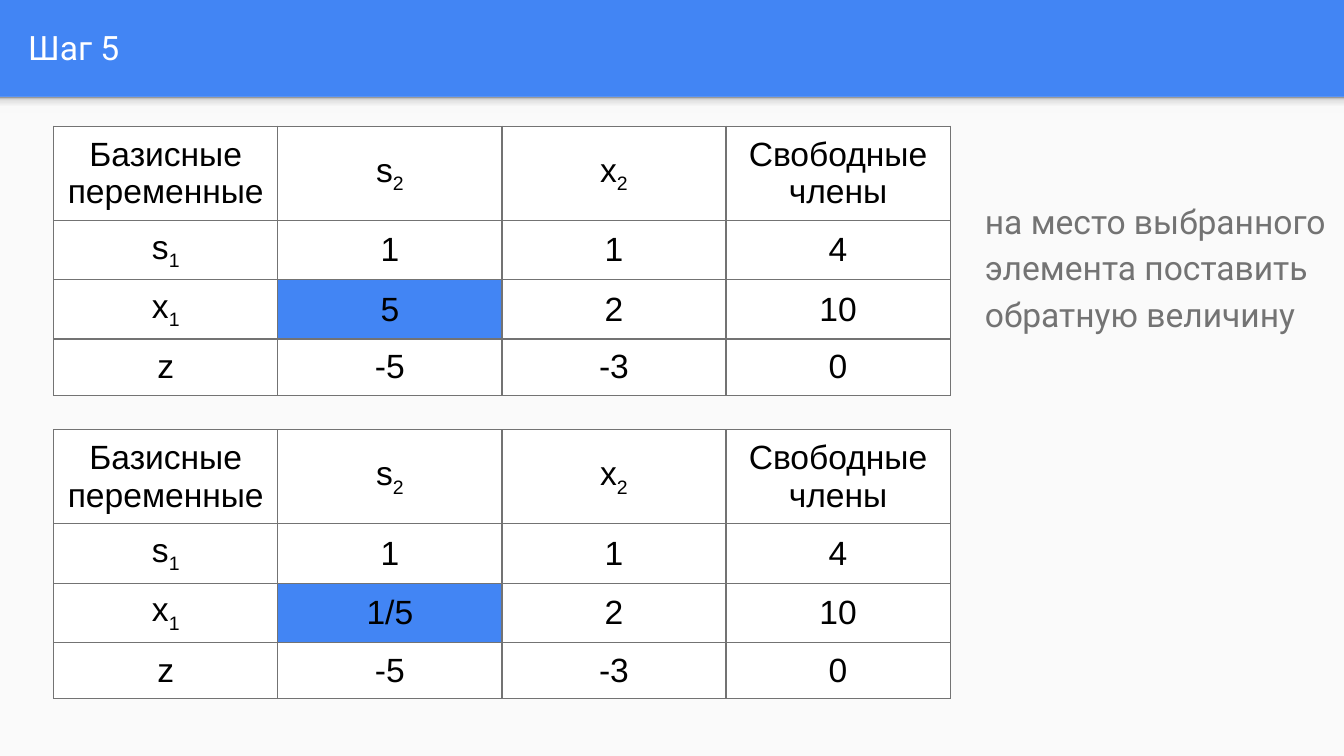
"""Build the "Шаг 5" slide: two simplex tables and the rule that links them."""
import copy

import lxml.etree
import pptx
import pptx.dml.color
import pptx.enum.shapes
import pptx.enum.text
import pptx.oxml.ns
import pptx.util

THEME = {
    "accent": "4285F4", "panel": "FAFAFA", "cell": "FFFFFF", "border": "737373",
    "title": {"name": "Roboto", "size": pptx.util.Pt(18), "color": "FFFFFF"},
    "note": {"name": "Roboto", "size": pptx.util.Pt(18), "color": "737373"},
    "table": {"name": "Arial", "size": pptx.util.Pt(18), "color": "000000"},
    "shadow": [(0, "F9F9F9"), (0.36, "F9F9F9"), (0.8, "DEDEDE"), (1, "999999")],
}
rgb = pptx.dml.color.RGBColor.from_string
qn = pptx.oxml.ns.qn

presentation = pptx.Presentation()
presentation.slide_width = pptx.util.Inches(10)
presentation.slide_height = pptx.util.Inches(5.625)
COLUMN = presentation.slide_width / 100
ROW = presentation.slide_height / 100


def area(left, top, width, height):
    """Turn grid columns and rows into lengths."""
    return [round(value) for value in (left * COLUMN, top * ROW, width * COLUMN, height * ROW)]


def write(paragraph, text, style):
    """Add a formatted run, with the part after "_" as a subscript."""
    for index, part in enumerate(text.split("_")):
        run = paragraph.add_run()
        run.text = part
        for name in ("name", "size"):
            setattr(run.font, name, style[name])
        run.font.color.rgb = rgb(style["color"])
        if index:
            run.font._element.set("baseline", "-25000")


slide = presentation.slides.add_slide(presentation.slide_layouts[5])
slide.background.fill.solid()
slide.background.fill.fore_color.rgb = rgb(THEME["accent"])

BAND = 12.8
rectangle = pptx.enum.shapes.MSO_SHAPE.RECTANGLE
panel = slide.shapes.add_shape(rectangle, *area(0, BAND, 100, 100 - BAND))
panel.fill.solid()
panel.fill.fore_color.rgb = rgb(THEME["panel"])
shadow = slide.shapes.add_shape(rectangle, *area(0, BAND, 100, 2.1))
shadow.fill.gradient()
shadow.fill.gradient_angle = 90
stop_list = next(shadow._element.iter(qn("a:gsLst")))
for stop in list(stop_list):
    stop_list.append(copy.deepcopy(stop))
for stop, (position, color) in zip(shadow.fill.gradient_stops, THEME["shadow"]):
    stop.position = position
    stop.color.rgb = rgb(color)
for shape in (panel, shadow):
    shape.line.fill.background()
    shape.shadow.inherit = False

title = slide.shapes.title
note = slide.shapes.add_textbox(*area(72.3, 24, 27.7, 21.3))
title.left, title.top, title.width, title.height = area(1.1, 0.4, 96.5, 11.7)
anchor = pptx.enum.text.MSO_ANCHOR
for shape, text, style, vertical in (
    (title, "Шаг 5", "title", anchor.MIDDLE),
    (note, "на место выбранного элемента поставить обратную величину", "note", anchor.TOP),
):
    frame = shape.text_frame
    frame_format = {"word_wrap": True, "vertical_anchor": vertical,
                    "auto_size": pptx.enum.text.MSO_AUTO_SIZE.NONE}
    for side in ("left", "top", "right", "bottom"):
        frame_format[f"margin_{side}"] = pptx.util.Inches(0.1)
    for name, value in frame_format.items():
        setattr(frame, name, value)
    frame.paragraphs[0].alignment = pptx.enum.text.PP_ALIGN.LEFT
    write(frame.paragraphs[0], text, THEME[style])
note.text_frame.auto_size = pptx.enum.text.MSO_AUTO_SIZE.SHAPE_TO_FIT_TEXT
note_format = {"line_spacing": 1.15, "space_after": pptx.util.Pt(12)}
for name, value in note_format.items():
    setattr(note.text_frame.paragraphs[0], name, value)

PIVOT = (2, 1)
ROW_HEIGHTS = [11.75, 7.45, 7.45, 7.45]
cell_format = {
    "vertical_anchor": anchor.MIDDLE,
    "margin_left": pptx.util.Inches(0.1), "margin_right": pptx.util.Inches(0.1),
    "margin_top": pptx.util.Inches(0.05), "margin_bottom": pptx.util.Inches(0.05),
}
for top, pivot_text in ((56.85, "1/5"), (16.7, "5")):
    values = [
        ["Базисные переменные", "s_2", "x_2", "Свободные члены"],
        ["s_1", "1", "1", "4"],
        ["x_1", pivot_text, "2", "10"],
        ["z", "-5", "-3", "0"],
    ]
    table = slide.shapes.add_table(4, 4, *area(4, top, 66.7, sum(ROW_HEIGHTS))).table
    table.first_row = table.horz_banding = False
    for row, height in zip(table.rows, ROW_HEIGHTS):
        row.height = round(height * ROW)
    for row_index, row_values in enumerate(values):
        for column_index, text in enumerate(row_values):
            cell = table.cell(row_index, column_index)
            for name, value in cell_format.items():
                setattr(cell, name, value)
            properties = cell._tc.get_or_add_tcPr()
            for edge in ("a:lnL", "a:lnR", "a:lnT", "a:lnB"):
                line = lxml.etree.SubElement(properties, qn(edge), w=str(pptx.util.Pt(0.75)))
                fill = lxml.etree.SubElement(line, qn("a:solidFill"))
                lxml.etree.SubElement(fill, qn("a:srgbClr"), val=THEME["border"])
            is_pivot = (row_index, column_index) == PIVOT
            cell.fill.solid()
            cell.fill.fore_color.rgb = rgb(THEME["accent" if is_pivot else "cell"])
            paragraph = cell.text_frame.paragraphs[0]
            paragraph.alignment = pptx.enum.text.PP_ALIGN.CENTER
            write(paragraph, text, THEME["table"])

presentation.save("out.pptx")
